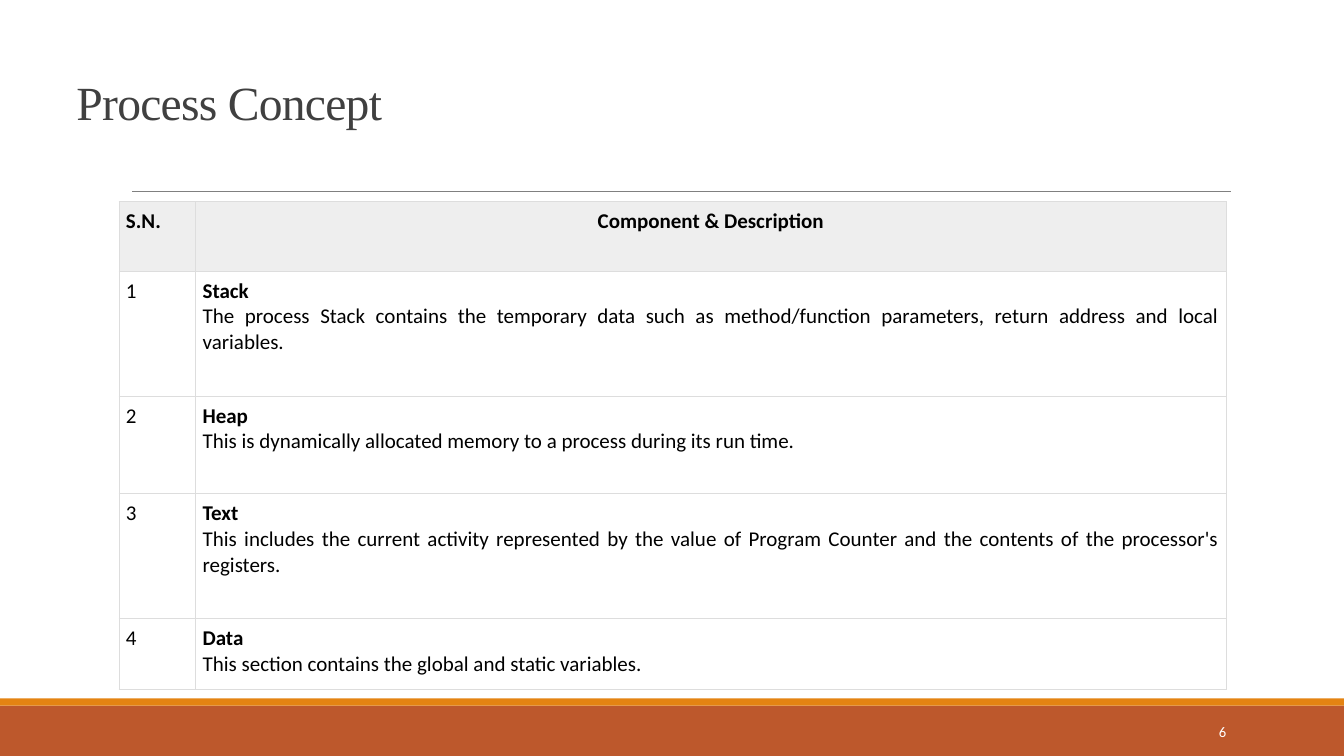
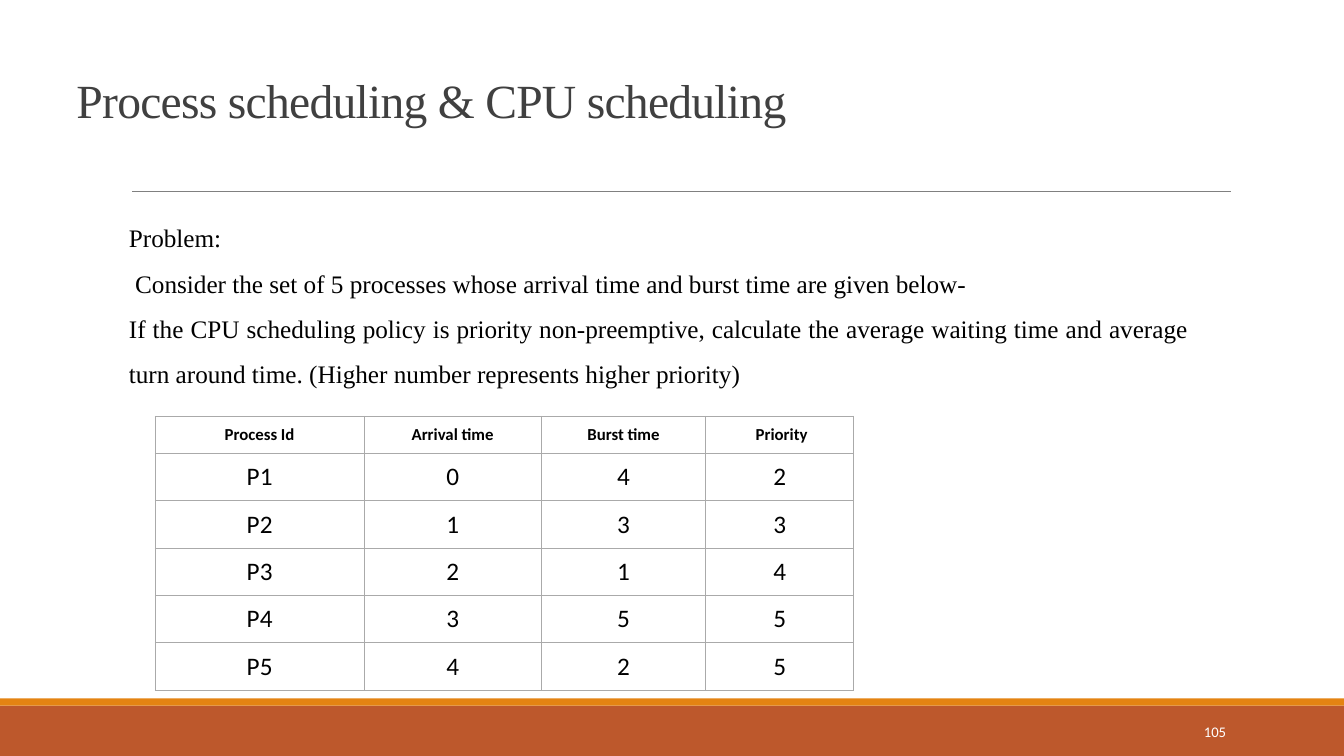
"""Build two operating-system slides: process components and a scheduling problem."""
from lxml import etree
from pptx import Presentation
from pptx.dml.color import RGBColor
from pptx.enum import shapes, text
from pptx.oxml import ns
from pptx.util import Inches, Pt

rgb = RGBColor.from_string
AL, ANC = text.PP_ALIGN, text.MSO_ANCHOR
SANS, SERIF = "Calibri", "Times New Roman"
BLACK, WHITE, GREY = "000000", "FFFFFF", "EEEEEE"
RUST, ORANGE, RULE, TITLE = "BD582C", "E48312", "808080", "404040"


def write(tf, content, size=15, font=SANS, color=BLACK, bold=False,
          align=AL.LEFT, leading=None, tracking=None):
    p = tf.paragraphs[-1]
    if p.runs:
        p = tf.add_paragraph()
    p.alignment = align
    if leading:
        p.line_spacing = leading
    r = p.add_run()
    r.text = content
    r.font.size, r.font.name, r.font.bold = Pt(size), font, bold
    r.font.color.rgb = rgb(color)
    if tracking:
        r.font._element.set("spc", str(int(tracking * 100)))


def add_grid(s, left, top, cols, rows, border, margins, anchor):
    tbl = s.shapes.add_table(len(rows), len(cols), Inches(left), Inches(top),
                             Inches(sum(cols)), Inches(sum(rows))).table
    tbl.first_row = tbl.horz_banding = False
    for col, width in zip(tbl.columns, cols):
        col.width = Inches(width)
    for row, height in zip(tbl.rows, rows):
        row.height = Inches(height)
    for cell in tbl.iter_cells():
        cell.margin_left = cell.margin_right = Inches(margins[0])
        cell.margin_top = cell.margin_bottom = Inches(margins[1])
        cell.vertical_anchor = anchor
        cell.fill.solid()
        cell.fill.fore_color.rgb = rgb(WHITE)
        tcPr = cell._tc.get_or_add_tcPr()
        for i, side in enumerate(("a:lnL", "a:lnR", "a:lnT", "a:lnB")):
            ln = etree.Element(ns.qn(side), w=str(Pt(0.75)))
            solid = etree.SubElement(ln, ns.qn("a:solidFill"))
            etree.SubElement(solid, ns.qn("a:srgbClr"), val=border)
            tcPr.insert(i, ln)
    return tbl


prs = Presentation()
prs.slide_width, prs.slide_height = Inches(13.33), Inches(7.5)

slides = []
for title, title_top, number in (
    ("Process Concept", 0.4, "6"),
    ("Process scheduling & CPU scheduling", 0.38, "105"),
):
    s = prs.slides.add_slide(prs.slide_layouts[6])
    slides.append(s)
    for top, height, color in ((7, 0.5, RUST), (6.93, 0.07, ORANGE)):
        band = s.shapes.add_shape(shapes.MSO_SHAPE.RECTANGLE, 0, Inches(top),
                                  prs.slide_width, Inches(height))
        band.shadow.inherit = False
        band.fill.solid()
        band.fill.fore_color.rgb = rgb(color)
        band.line.fill.background()
    rule = s.shapes.add_connector(shapes.MSO_CONNECTOR.STRAIGHT, Inches(1.31),
                                  Inches(1.9), Inches(12.21), Inches(1.9))
    rule.line.color.rgb = rgb(RULE)
    rule.line.width = Pt(0.5)
    etree.SubElement(rule._element.spPr, ns.qn("a:effectLst"))

    tf = s.shapes.add_textbox(Inches(10.83), Inches(7.06), Inches(1.43), Inches(0.4)).text_frame
    tf.word_wrap, tf.vertical_anchor = True, ANC.MIDDLE
    write(tf, number, size=10.5, color=WHITE, align=AL.RIGHT)

    tf = s.shapes.add_textbox(Inches(0.66), Inches(title_top), Inches(12.31), Inches(0.94)).text_frame
    tf.word_wrap, tf.vertical_anchor = True, ANC.BOTTOM
    write(tf, title, size=34, font=SERIF, color=TITLE, leading=0.85, tracking=-0.5)

concept, scheduling = slides

components = (
    ("Stack", "The process Stack contains the temporary data such as method/function "
              "parameters, return address and local variables."),
    ("Heap", "This is dynamically allocated memory to a process during its run time."),
    ("Text", "This includes the current activity represented by the value of Program "
             "Counter and the contents of the processor's registers."),
    ("Data", "This section contains the global and static variables."),
)
tbl = add_grid(concept, 1.18, 2, (0.76, 10.22), (0.69, 1.24, 0.97, 1.24, 0.7),
               "DDDDDD", (0.07, 0.07), ANC.TOP)
for c, (heading, align) in enumerate((("S.N.", AL.LEFT), ("Component & Description", AL.CENTER))):
    tbl.cell(0, c).fill.fore_color.rgb = rgb(GREY)
    write(tbl.cell(0, c).text_frame, heading, bold=True, align=align)
for n, (name, description) in enumerate(components, 1):
    write(tbl.cell(n, 0).text_frame, str(n))
    tf = tbl.cell(n, 1).text_frame
    write(tf, name, bold=True, align=AL.JUSTIFY)
    write(tf, description, align=AL.JUSTIFY)

tf = scheduling.shapes.add_textbox(Inches(1.18), Inches(2.01), Inches(10.71), Inches(2.32)).text_frame
tf.word_wrap = True
for line in (
    "Problem:",
    " Consider the set of 5 processes whose arrival time and burst time are given below-",
    "If the CPU scheduling policy is priority non-preemptive, calculate the average waiting "
    "time and average turn around time. (Higher number represents higher priority)",
):
    write(tf, line, size=18, font=SERIF, align=AL.JUSTIFY, leading=1.5)

processes = (
    ("Process Id", "Arrival time", "Burst time", " Priority"),
    ("P1", "0", "4", "2"),
    ("P2", "1", "3", "3"),
    ("P3", "2", "1", "4"),
    ("P4", "3", "5", "5"),
    ("P5", "4", "2", "5"),
)
tbl = add_grid(scheduling, 1.54, 4.13, (2.07, 1.76, 1.63, 1.47), (0.37,) + (0.47,) * 5,
               "AAAAAA", (0.1, 0.08), ANC.MIDDLE)
for i, values in enumerate(processes):
    for c, value in enumerate(values):
        write(tbl.cell(i, c).text_frame, value, size=18 if i else 12,
              bold=i == 0, align=AL.CENTER)

prs.save("out.pptx")
